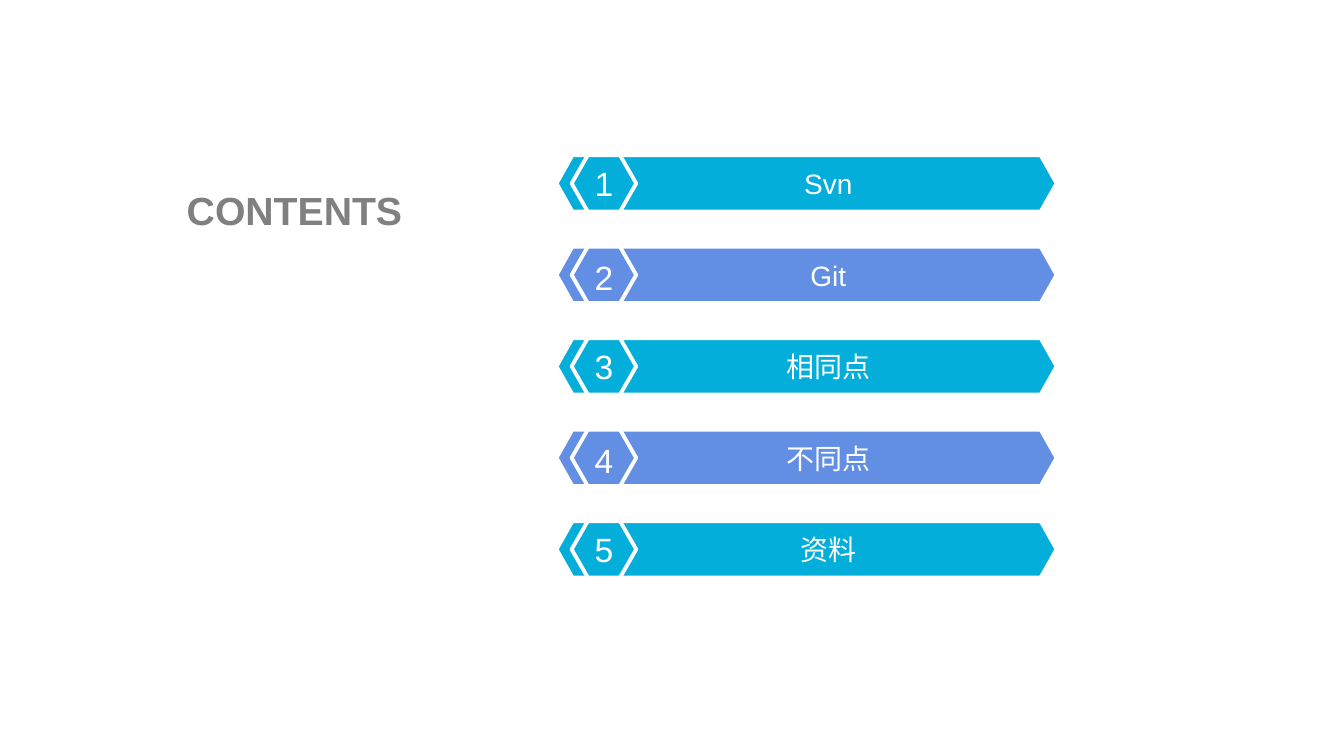
import pptx
import pptx.dml.color
import pptx.enum.shapes
import pptx.enum.text
import pptx.oxml.ns
import pptx.util
import lxml.etree

Inches = pptx.util.Inches
Pt = pptx.util.Pt

TITLE = "CONTENTS"
TOPICS = [
    ("Svn", "Arial"),
    ("Git", "Arial"),
    ("相同点", "Noto Sans CJK SC"),
    ("不同点", "Arial"),
    ("资料", "Arial"),
]
COLORS = {"cyan": "04AEDA", "blue": "628EE3", "white": "FFFFFF", "grey": "808080"}
BAR_FILLS = ("cyan", "blue")
NUMBER_SPACING = (1.0, 1.1)

BAR_LEFT, BAR_WIDTH, BAR_HEIGHT = 5.52, 4.96, 0.56
FIRST_TOP, LAST_TOP = 1.54, 5.17
PITCH = (LAST_TOP - FIRST_TOP) / (len(TOPICS) - 1)
BADGE_LEFT, BADGE_WIDTH, BADGE_POINT = 5.67, 0.64, 0.16


def rgb(name):
    return pptx.dml.color.RGBColor.from_string(COLORS[name])


def write(sp, text, size, color, font="Arial", bold=False, margins=None, spacing=1.0):
    tf = sp.text_frame
    tf.word_wrap = True
    tf.vertical_anchor = pptx.enum.text.MSO_ANCHOR.MIDDLE
    if margins:
        tf.margin_left, tf.margin_right = Inches(margins[0]), Inches(margins[1])
        tf.margin_top = tf.margin_bottom = 0
    p = tf.paragraphs[0]
    p.alignment = pptx.enum.text.PP_ALIGN.CENTER
    p.line_spacing = spacing
    r = p.add_run()
    r.text = text
    r.font.name = font
    r.font.size = Pt(size)
    r.font.bold = bold
    r.font.color.rgb = rgb(color)
    ea = lxml.etree.SubElement(r.font._element, pptx.oxml.ns.qn("a:ea"))
    ea.set("typeface", font)


def paint(sp, fill):
    sp.shadow.inherit = False
    sp.fill.solid()
    sp.fill.fore_color.rgb = rgb(fill)
    sp.line.color.rgb = rgb("white")
    sp.line.width = Pt(2.75)


def add_bar(shapes, top, fill, text, font):
    bar = shapes.add_shape(
        pptx.enum.shapes.MSO_SHAPE.HEXAGON,
        Inches(BAR_LEFT), Inches(top), Inches(BAR_WIDTH), Inches(BAR_HEIGHT),
    )
    bar.adjustments[0] = 0.282
    paint(bar, fill)
    write(bar, text, 20, "white", font, margins=(0.51, 0.08))


def add_badge(shapes, top, fill, number, spacing):
    right, bottom = BADGE_LEFT + BADGE_WIDTH, top + BAR_HEIGHT
    middle = top + BAR_HEIGHT / 2
    inner_left, inner_right = BADGE_LEFT + BADGE_POINT, right - BADGE_POINT
    outline = [
        (inner_left, top), (inner_right, top), (right, middle),
        (inner_right, bottom), (inner_left, bottom), (BADGE_LEFT, middle),
    ]
    points = [(Inches(x), Inches(y)) for x, y in outline]
    builder = shapes.build_freeform(*points[0])
    builder.add_line_segments(points[1:], close=True)
    badge = builder.convert_to_shape()
    paint(badge, fill)
    write(badge, str(number), 24, "white", margins=(0, 0), spacing=spacing)


def main():
    prs = pptx.Presentation()
    prs.slide_width, prs.slide_height = Inches(13.33), Inches(7.5)
    s = prs.slides.add_slide(prs.slide_layouts[5])

    for i, (text, font) in enumerate(TOPICS):
        top = FIRST_TOP + i * PITCH
        fill = BAR_FILLS[i % 2]
        group = s.shapes.add_group_shape()
        add_bar(group.shapes, top, fill, text, font)
        add_badge(group.shapes, top, fill, i + 1, NUMBER_SPACING[i % 2])

    title = s.shapes.title
    title.left, title.top = Inches(1.54), Inches(1.8)
    title.width, title.height = Inches(2.76), Inches(0.57)
    write(title, TITLE, 28, "grey", bold=True)

    prs.save("out.pptx")


if __name__ == "__main__":
    main()
